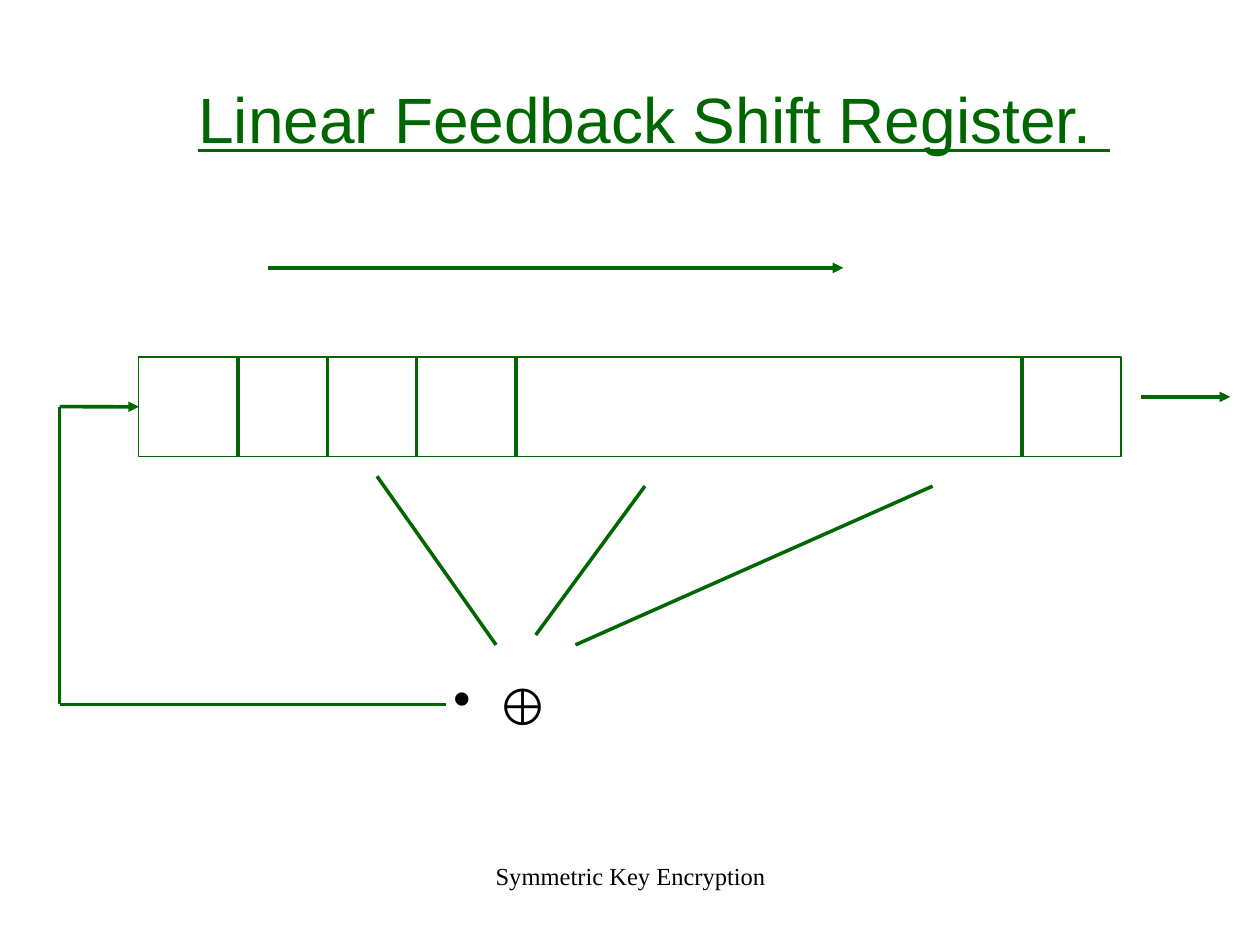
from lxml import etree
from pptx import Presentation
from pptx.dml.color import RGBColor
from pptx.enum.shapes import MSO_CONNECTOR, MSO_SHAPE
from pptx.enum.text import MSO_ANCHOR, PP_ALIGN
from pptx.oxml.ns import qn
from pptx.util import Cm, Pt

STRAIGHT = MSO_CONNECTOR.STRAIGHT
RECTANGLE = MSO_SHAPE.RECTANGLE
TOP, MIDDLE = MSO_ANCHOR.TOP, MSO_ANCHOR.MIDDLE
LEFT, CENTER = PP_ALIGN.LEFT, PP_ALIGN.CENTER
GREEN = RGBColor(0x00, 0x66, 0x00)
BLACK = RGBColor(0x00, 0x00, 0x00)
LEFT_SIDE = 1

# Content, lengths in centimetres
TITLE = "Linear Feedback Shift Register. "
FOOTER = "Symmetric Key Encryption"
XOR_SIGN = "⊕"
REGISTER = (2.8, 7.2, 19.8, 2)  # left, top, width, height
CELL_WIDTHS = [2, 1.8, 1.8, 2, 10.2]  # the last cell takes the rest
SHIFT_ARROW = ((5.4, 5.4), (17, 5.4))
OUTPUT_ARROW = ((23, 8), (24.8, 8))
TAPS = [
    ((7.6, 9.6), (10, 13)),
    ((13, 9.8), (10.8, 12.8)),
    ((18.8, 9.8), (11.6, 13)),
]
FEEDBACK_X, FEEDBACK_Y, FEEDBACK_START = 1.2, 14.2, 9


def add_line(page, start, end, arrow=False):
    line = page.shapes.add_connector(STRAIGHT, *map(Cm, start + end))
    line.line.color.rgb = GREEN
    line.line.width = 0
    if arrow:
        outline = line.line._get_or_add_ln()
        etree.SubElement(outline, qn("a:tailEnd"), type="triangle")
    etree.SubElement(line._element.spPr, qn("a:effectLst"))
    return line


def add_text(page, text, place, *, font, size, color, align=LEFT,
             anchor=TOP, underline=None, margin=0, indent=0, bullet=None,
             space_after=0):
    box = page.shapes.add_textbox(*map(Cm, place))
    frame = box.text_frame
    frame.word_wrap = True
    frame.vertical_anchor = anchor
    frame.margin_left = frame.margin_right = 0
    frame.margin_top = frame.margin_bottom = 0
    para = frame.paragraphs[0]
    para.alignment = align
    para.space_after = Pt(space_after)
    properties = para._p.get_or_add_pPr()
    properties.set("marL", str(Cm(margin)))
    properties.set("indent", str(Cm(indent)))
    if bullet:
        etree.SubElement(properties, qn("a:buChar"), char=bullet)
    span = para.add_run()
    span.text = text
    span.font.name = font
    span.font.size = Pt(size)
    span.font.color.rgb = color
    span.font.underline = underline
    return box


def main():
    deck = Presentation()
    deck.slide_width, deck.slide_height = Cm(25.4), Cm(19.05)
    page = deck.slides.add_slide(deck.slide_layouts[6])

    add_text(page, TITLE, (1.27, 1.65, 23.22, 1.45), font="Arial", size=36.6,
             color=GREEN, align=CENTER, anchor=MIDDLE, underline=True,
             margin=0.61)

    # Register with its cells
    left, top, width, height = REGISTER
    register = page.shapes.add_shape(RECTANGLE, *map(Cm, REGISTER))
    register.shadow.inherit = False
    register.fill.background()
    register.line.color.rgb = GREEN
    register.line.width = 0
    divider = left
    for cell_width in CELL_WIDTHS:
        divider += cell_width
        add_line(page, (divider, top), (divider, top + height))

    # Shift direction, output and taps
    add_line(page, *SHIFT_ARROW, arrow=True)
    add_line(page, *OUTPUT_ARROW, arrow=True)
    for start, end in TAPS:
        add_line(page, start, end)

    # XOR sign and the feedback path to the register
    add_text(page, XOR_SIGN, (8.84, 13.6, 2.57, 1.4), font="Arial", size=29.1,
             color=BLACK, margin=1.19, indent=-0.89, bullet="•",
             space_after=12.8)
    middle = top + height / 2
    add_line(page, (FEEDBACK_X, FEEDBACK_Y), (FEEDBACK_START, FEEDBACK_Y))
    add_line(page, (FEEDBACK_X, middle), (FEEDBACK_X, FEEDBACK_Y))
    feedback = add_line(page, (FEEDBACK_X, middle), (left, middle), arrow=True)
    feedback.end_connect(register, LEFT_SIDE)

    add_text(page, FOOTER, (8.69, 17.35, 8.05, 1.32), font="Times New Roman",
             size=14, color=BLACK, align=CENTER)

    deck.save("out.pptx")


if __name__ == "__main__":
    main()
